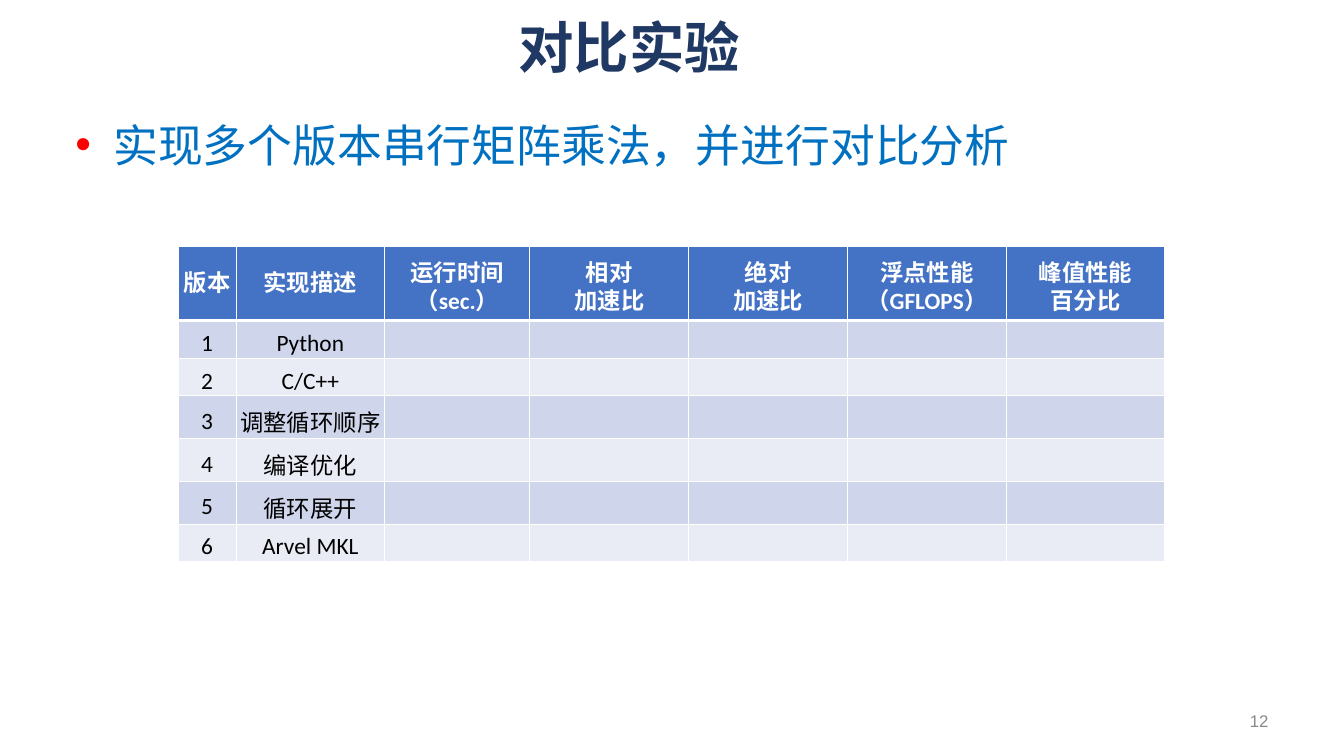
import pptx
import pptx.util
import pptx.dml.color
import pptx.enum.text
import lxml.etree
import pptx.oxml.ns

ALIGN = pptx.enum.text.PP_ALIGN
ANCHOR = pptx.enum.text.MSO_ANCHOR
qn = pptx.oxml.ns.qn

deck = pptx.Presentation()
deck.slide_width = pptx.util.Inches(16)
deck.slide_height = pptx.util.Inches(9)
slide = deck.slides.add_slide(deck.slide_layouts[6])
column = deck.slide_width / 16
row = deck.slide_height / 9


def style(paragraph, size, font, color, align, bold=False):
    paragraph.alignment = align
    formats = {"size": pptx.util.Pt(size), "name": font, "bold": bold}
    for run in paragraph.runs:
        for key, value in formats.items():
            setattr(run.font, key, value)
        run.font.color.rgb = pptx.dml.color.RGBColor.from_string(color)


def add_text(text, place, anchor, *look):
    left, top, width, height = place
    box = slide.shapes.add_textbox(
        int(left * column), int(top * row), int(width * column), int(height * row))
    frame = box.text_frame
    frame.word_wrap = True
    frame.vertical_anchor = anchor
    frame.text = text
    style(frame.paragraphs[0], *look)
    return frame.paragraphs[0]


add_text("对比实验", (2.33, 0.09, 10.32, 0.93), ANCHOR.MIDDLE,
         47.5, "Arial", "203864", ALIGN.CENTER, True)
task = add_text("实现多个版本串行矩阵乘法，并进行对比分析", (0.8, 1.35, 14.4, 6.69), ANCHOR.TOP,
                38.4, "Roboto", "0070C0", ALIGN.LEFT)
task_format = task._p.get_or_add_pPr()
hanging = int(0.45 * column)
task_format.set("marL", str(hanging))
task_format.set("indent", str(-hanging))
bullet_color = lxml.etree.SubElement(task_format, qn("a:buClr"))
lxml.etree.SubElement(bullet_color, qn("a:srgbClr"), val="FF0000")
lxml.etree.SubElement(task_format, qn("a:buFont"), typeface="Arial")
lxml.etree.SubElement(task_format, qn("a:buChar"), char="•")
add_text("12", (11.47, 8.34, 3.73, 0.48), ANCHOR.MIDDLE,
         14.4, "Arial", "898989", ALIGN.RIGHT)

headings = ["版本", "实现描述", "运行时间\n（sec.）", "相对\n加速比",
            "绝对\n加速比", "浮点性能\n（GFLOPS）", "峰值性能\n百分比"]
versions = ["Python", "C/C++", "调整循环顺序", "编译优化", "循环展开", "Arvel MKL"]
contents = [headings] + [
    [str(number), version] + [""] * (len(headings) - 2)
    for number, version in enumerate(versions, 1)]
widths = [0.69, 1.77, 1.73] + [1.89] * 4
heights = [0.88, 0.45, 0.44, 0.51, 0.51, 0.51, 0.44]

comparison = slide.shapes.add_table(
    len(heights), len(widths), int(2.12 * column), int(2.94 * row),
    int(sum(widths) * column), int(sum(heights) * row)).table
for table_column, width in zip(comparison.columns, widths):
    table_column.width = int(width * column)
for table_row, height in zip(comparison.rows, heights):
    table_row.height = int(height * row)

for r, texts in enumerate(contents):
    heading = r == 0
    for c, text in enumerate(texts):
        cell = comparison.cell(r, c)
        cell.text = text
        cell.vertical_anchor = ANCHOR.MIDDLE
        inset = 0.1 if not heading else 0.09 if c > 1 else 0.01
        margins = {"left": 0.01, "top": inset, "right": 0.01, "bottom": 0}
        for side, margin in margins.items():
            setattr(cell, "margin_" + side, pptx.util.Inches(margin))
        for paragraph in cell.text_frame.paragraphs:
            style(paragraph, 20, "Calibri", "FFFFFF" if heading else "000000",
                  ALIGN.CENTER, heading)
            if heading:
                paragraph.line_spacing = pptx.util.Pt(24)
        for side in "LRTB":
            thick = (r, side) in [(0, "B"), (1, "T")]
            border = lxml.etree.SubElement(
                cell._tc.get_or_add_tcPr(), qn("a:ln" + side),
                w=str(pptx.util.Pt(3 if thick else 1)))
            paint = lxml.etree.SubElement(border, qn("a:solidFill"))
            lxml.etree.SubElement(paint, qn("a:srgbClr"), val="FFFFFF")
        cell.fill.solid()
        shade = "4472C4" if heading else "CFD5EA" if r % 2 else "E9EBF5"
        cell.fill.fore_color.rgb = pptx.dml.color.RGBColor.from_string(shade)

deck.save("out.pptx")
